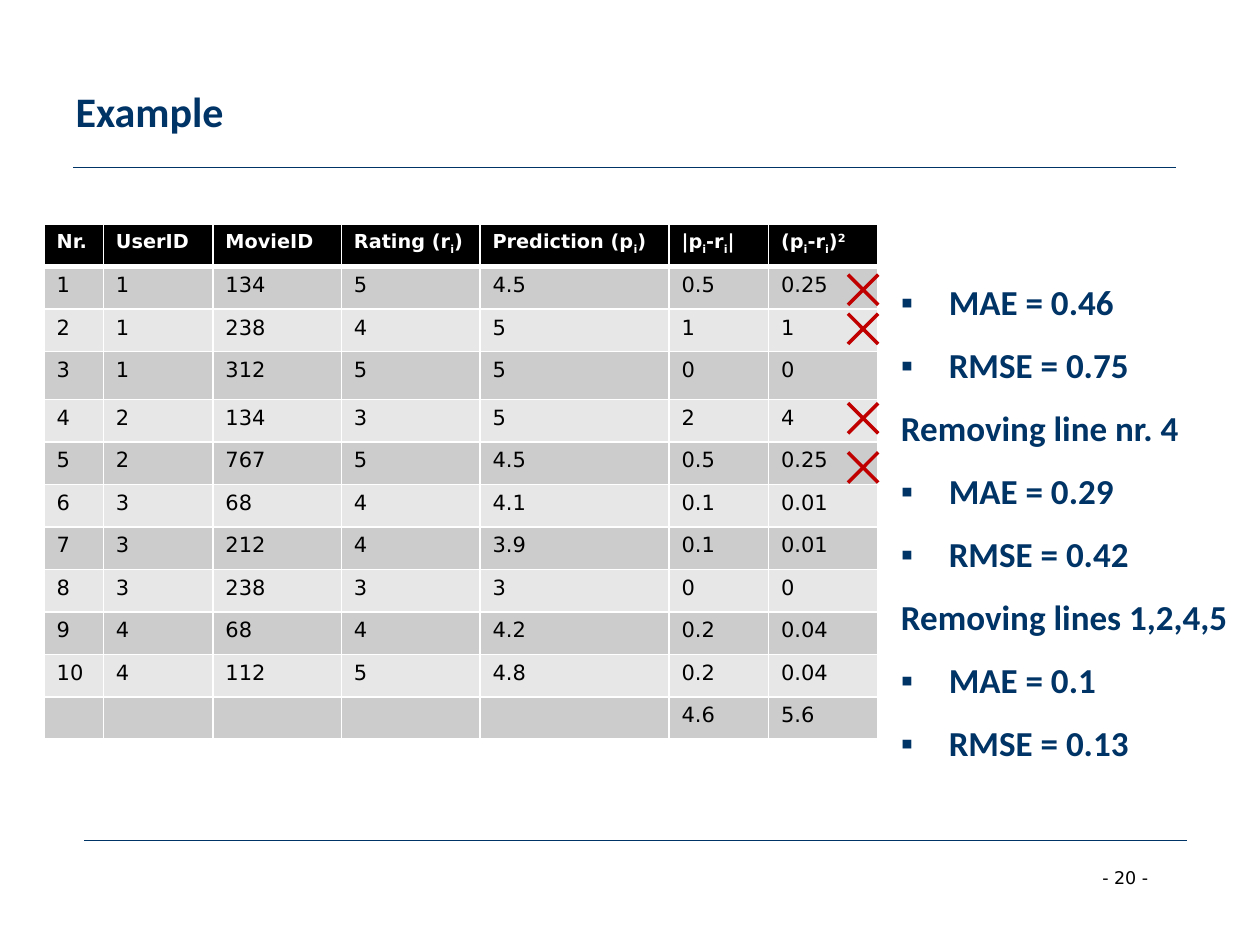
import pptx
import pptx.dml.color
import pptx.enum.shapes
import pptx.enum.text
import pptx.oxml
import pptx.oxml.ns
import pptx.util
from pptx.util import Inches

NAVY = pptx.dml.color.RGBColor(0x00, 0x33, 0x66)
RED = pptx.dml.color.RGBColor(0xC0, 0x00, 0x00)
BLACK = pptx.dml.color.RGBColor(0x00, 0x00, 0x00)
WHITE = pptx.dml.color.RGBColor(0xFF, 0xFF, 0xFF)
DARK_BAND = pptx.dml.color.RGBColor(0xCC, 0xCC, 0xCC)
LIGHT_BAND = pptx.dml.color.RGBColor(0xE7, 0xE7, 0xE7)

NAMESPACE = pptx.oxml.ns.nsdecls("a")


def format_font(font, color, **values):
    for name, value in values.items():
        setattr(font, name, value)
    font.color.rgb = color


def add_line(shapes, start, end, color, width):
    connector = shapes.add_connector(
        pptx.enum.shapes.MSO_CONNECTOR.STRAIGHT,
        Inches(start[0]), Inches(start[1]), Inches(end[0]), Inches(end[1]),
    )
    connector.line.color.rgb = color
    connector.line.width = pptx.util.Pt(width)
    connector._element.spPr.append(pptx.oxml.parse_xml(f"<a:effectLst {NAMESPACE}/>"))


presentation = pptx.Presentation()
presentation.slide_width = Inches(10)
presentation.slide_height = Inches(7.5)
slide = presentation.slides.add_slide(presentation.slide_layouts[1])

add_line(slide.shapes, (0.58, 1.33), (9.33, 1.33), NAVY, 0.75)
add_line(slide.shapes, (0.67, 6.67), (9.42, 6.67), NAVY, 0.75)

page_number = slide.shapes.add_textbox(Inches(8.65), Inches(6.83), Inches(0.76), Inches(0.27))
page_number.text_frame.text = "- 20 -"
format_font(page_number.text_frame.paragraphs[0].runs[0].font, BLACK,
            name="DejaVu Sans", size=pptx.util.Pt(10))

title = slide.shapes.title
body = slide.placeholders[1]
boxes = [(title, (0.5, 0.25, 9, 1.25)), (body, (7.05, 2.18, 2.95, 4.33))]
for shape, box in boxes:
    for name, value in zip(("left", "top", "width", "height"), box):
        setattr(shape, name, Inches(value))
    shape.text_frame.word_wrap = True
    shape.text_frame.auto_size = pptx.enum.text.MSO_AUTO_SIZE.NONE

title.text_frame.text = "Example"
title.text_frame.vertical_anchor = pptx.enum.text.MSO_ANCHOR.MIDDLE
title_paragraph = title.text_frame.paragraphs[0]
title_paragraph.alignment = pptx.enum.text.PP_ALIGN.LEFT
format_font(title_paragraph.runs[0].font, NAVY,
            name="Calibri", size=pptx.util.Pt(24), bold=True)

results = [
    "MAE = 0.46", "RMSE = 0.75",
    "Removing line nr. 4", "MAE = 0.29", "RMSE = 0.42",
    "Removing lines 1,2,4,5", "MAE = 0.1", "RMSE = 0.13",
]
body.text_frame.text = "\n".join(results)
for index, paragraph in enumerate(body.text_frame.paragraphs):
    paragraph.space_before = pptx.util.Pt(12 if index else 0)
    properties = paragraph._p.get_or_add_pPr()
    properties.set("marL", str(Inches(0.38)))
    properties.set("indent", str(Inches(-0.38)))
    bullet = "buNone" if paragraph.text.startswith("Removing") else 'buChar char="▪"'
    properties.append(pptx.oxml.parse_xml(f"<a:{bullet} {NAMESPACE}/>".replace(
        f"{bullet} ", f"{bullet} ")))
    format_font(paragraph.runs[0].font, NAVY,
                name="Calibri", size=pptx.util.Pt(20), bold=True)

rows = [
    ["Nr.", "UserID", "MovieID", "Rating (r~i~)", "Prediction (p~i~)",
     "|p~i~-r~i~|", "(p~i~-r~i~)~2"],
    ["1", "1", "134", "5", "4.5", "0.5", "0.25"],
    ["2", "1", "238", "4", "5", "1", "1"],
    ["3", "1", "312", "5", "5", "0", "0"],
    ["4", "2", "134", "3", "5", "2", "4"],
    ["5", "2", "767", "5", "4.5", "0.5", "0.25"],
    ["6", "3", "68", "4", "4.1", "0.1", "0.01"],
    ["7", "3", "212", "4", "3.9", "0.1", "0.01"],
    ["8", "3", "238", "3", "3", "0", "0"],
    ["9", "4", "68", "4", "4.2", "0.2", "0.04"],
    ["10", "4", "112", "5", "4.8", "0.2", "0.04"],
    ["", "", "", "", "", "4.6", "5.6"],
]
column_widths = [0.47, 0.87, 1.02, 1.1, 1.5, 0.79, 0.87]
table_height, tall_row, tall_height = 4.09, 3, 0.38
row_height = (table_height - tall_height) / (len(rows) - 1)
baselines = {"i": "-25000", "2": "30000"}

table = slide.shapes.add_table(
    len(rows), len(column_widths),
    Inches(0.35), Inches(1.78), Inches(sum(column_widths)), Inches(table_height),
).table
for column, width in zip(table.columns, column_widths):
    column.width = Inches(width)

for row_index, values in enumerate(rows):
    table.rows[row_index].height = Inches(tall_height if row_index == tall_row else row_height)
    is_header = row_index == 0
    fill_color = BLACK if is_header else (DARK_BAND if row_index % 2 else LIGHT_BAND)
    text_color = WHITE if is_header else BLACK
    text_size = pptx.util.Pt(11 if is_header else 12)
    for column_index, value in enumerate(values):
        cell = table.cell(row_index, column_index)
        cell_properties = cell._tc.get_or_add_tcPr()
        for side in "LRTB":
            is_header_rule = (row_index, side) in [(0, "B"), (1, "T")]
            border_width = pptx.util.Pt(3 if is_header_rule else 1)
            cell_properties.append(pptx.oxml.parse_xml(
                f'<a:ln{side} {NAMESPACE} w="{border_width}"><a:solidFill>'
                f'<a:srgbClr val="{WHITE}"/></a:solidFill></a:ln{side}>'))
        cell.fill.solid()
        cell.fill.fore_color.rgb = fill_color
        paragraph = cell.text_frame.paragraphs[0]
        if not value:
            paragraph._p.get_or_add_endParaRPr().set("sz", str(int(text_size.pt * 100)))
            continue
        for position, piece in enumerate(value.split("~")):
            run = paragraph.add_run()
            run.text = piece
            format_font(run.font, text_color,
                        name="DejaVu Sans", size=text_size, bold=is_header)
            if position % 2:
                run._r.get_or_add_rPr().set("baseline", baselines[piece])

cross_left, cross_size = 6.73, 0.24
cross_right = cross_left + cross_size
for cross_top in (2.18, 2.49, 3.2, 3.59):
    cross = slide.shapes.add_group_shape()
    cross_bottom = cross_top + cross_size
    add_line(cross.shapes, (cross_left, cross_bottom), (cross_right, cross_top), RED, 2)
    add_line(cross.shapes, (cross_left, cross_top), (cross_right, cross_bottom), RED, 2)

presentation.save("out.pptx")
